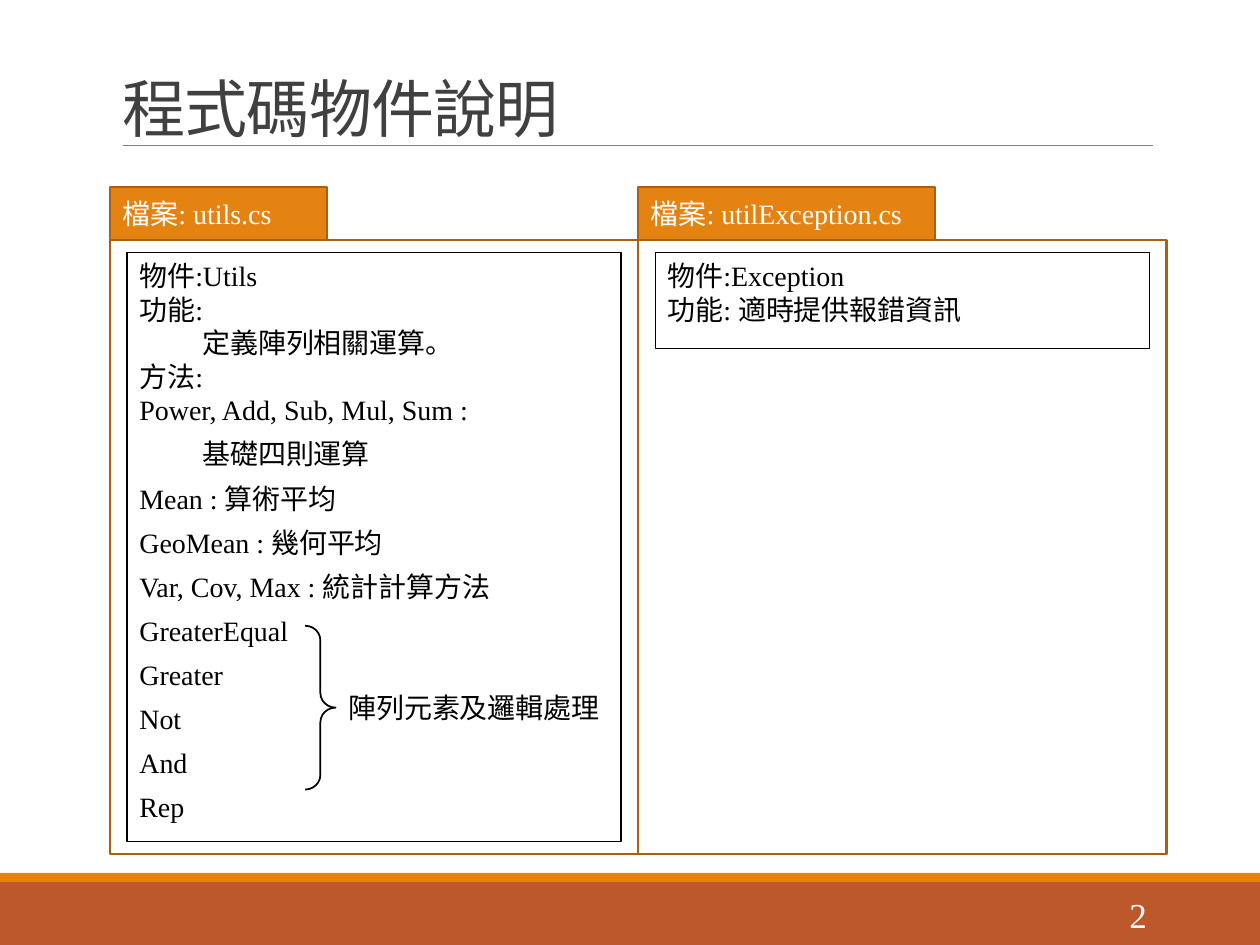
import pptx
import pptx.util
import pptx.dml.color
import pptx.enum.shapes
import pptx.enum.text
import pptx.oxml
import pptx.oxml.ns

Pt = pptx.util.Pt
SHAPE = pptx.enum.shapes.MSO_SHAPE
ANCHOR = pptx.enum.text.MSO_ANCHOR
ALIGN = pptx.enum.text.PP_ALIGN
COLORS = {"rust": "BD582C", "orange": "E48312", "edge": "A9610D", "gray": "808080",
          "title": "404040", "black": "000000", "white": "FFFFFF"}
RGB = {k: pptx.dml.color.RGBColor.from_string(v) for k, v in COLORS.items()}
LATIN = "Times New Roman"
CJK = "Noto Sans CJK JP"

prs = pptx.Presentation()
prs.slide_width, prs.slide_height = Pt(720), Pt(540)
s = prs.slides.add_slide(prs.slide_layouts[6])


def add_box(kind, x, y, w, h, fill=None, line=None, width=1.25):
    sp = s.shapes.add_shape(kind, Pt(x), Pt(y), Pt(w), Pt(h))
    sp.shadow.inherit = False
    if fill:
        sp.fill.solid()
        sp.fill.fore_color.rgb = RGB[fill]
    else:
        sp.fill.background()
    if line:
        sp.line.color.rgb = RGB[line]
        sp.line.width = Pt(width)
    else:
        sp.line.fill.background()
    return sp


def add_text(sp, lines, size=16, color="black", anchor=ANCHOR.TOP, align=ALIGN.LEFT, font=LATIN):
    tf = sp.text_frame
    tf.word_wrap = True
    tf.vertical_anchor = anchor
    for i, (text, indent, after) in enumerate(lines):
        p = tf.paragraphs[0] if i == 0 else tf.add_paragraph()
        p.alignment = align
        p.space_after = Pt(after)
        if indent:
            p._p.get_or_add_pPr().set("marL", str(Pt(indent)))
        r = p.add_run()
        r.text = text
        r.font.size = Pt(size)
        r.font.name = font
        r.font.color.rgb = RGB[color]
        ea = pptx.oxml.parse_xml(f'<a:ea {pptx.oxml.ns.nsdecls("a")} typeface="{CJK}"/>')
        r.font._element.find(pptx.oxml.ns.qn("a:latin")).addnext(ea)
    return tf


add_box(SHAPE.RECTANGLE, 0, 504, 720, 36, "rust")
add_box(SHAPE.RECTANGLE, 0, 498.8, 720, 5.2, "orange")

rule = s.shapes.add_connector(pptx.enum.shapes.MSO_CONNECTOR.STRAIGHT,
                              Pt(70.5), Pt(83.3), Pt(658.8), Pt(83.3))
rule.line.color.rgb = RGB["gray"]
rule.line.width = Pt(0.5)
rule._element.spPr.append(
    pptx.oxml.parse_xml(f'<a:effectLst {pptx.oxml.ns.nsdecls("a")}/>'))

title = s.shapes.add_textbox(Pt(63), Pt(31), Pt(594), Pt(55.4))
tf = add_text(title, [("程式碼物件說明", 0, 0)], 36, "title", ANCHOR.BOTTOM)
tf.paragraphs[0].line_spacing = 0.85
tf.paragraphs[0].runs[0].font._element.set("spc", "-50")

number = s.shapes.add_textbox(Pt(584.6), Pt(508.3), Pt(77.8), Pt(28.8))
add_text(number, [("2", 0, 0)], 20, "white", ANCHOR.MIDDLE, ALIGN.RIGHT)

utils = [("物件:Utils", 0, 0), ("功能:", 0, 0), ("定義陣列相關運算。", 36, 0), ("方法:", 0, 0),
         ("Power, Add, Sub, Mul, Sum :", 0, 6), ("基礎四則運算", 36, 6)]
utils += [(text, 0, 6) for text in (
    "Mean : 算術平均", "GeoMean : 幾何平均", "Var, Cov, Max : 統計計算方法",
    "GreaterEqual", "Greater", "Not", "And", "Rep")]
exception = [("物件:Exception", 0, 0), ("功能: 適時提供報錯資訊", 0, 0)]

files = [(63, 124, "檔案: utils.cs", 336.5, utils),
         (364.8, 169.5, "檔案: utilException.cs", 55, exception)]
for x, tab_w, name, body_h, lines in files:
    tab = add_box(SHAPE.RECTANGLE, x, 107, tab_w, 30, "orange", "edge")
    add_text(tab, [(name, 0, 0)], color="white", anchor=ANCHOR.MIDDLE)
    add_box(SHAPE.RECTANGLE, x, 137, 301.8, 351, line="edge")
    body = add_box(SHAPE.RECTANGLE, x + 9.6, 144.2, 282.4, body_h, line="black", width=0.75)
    add_text(body, lines)

brace = add_box(SHAPE.RIGHT_BRACE, 174.4, 357.6, 17.4, 93.6, line="black", width=1)
brace.adjustments[0] = 0.48
brace.adjustments[1] = 0.5
label = s.shapes.add_textbox(Pt(192), Pt(391), Pt(166.3), Pt(26.6))
add_text(label, [("陣列元素及邏輯處理", 0, 0)], font=CJK)

prs.save("out.pptx")
